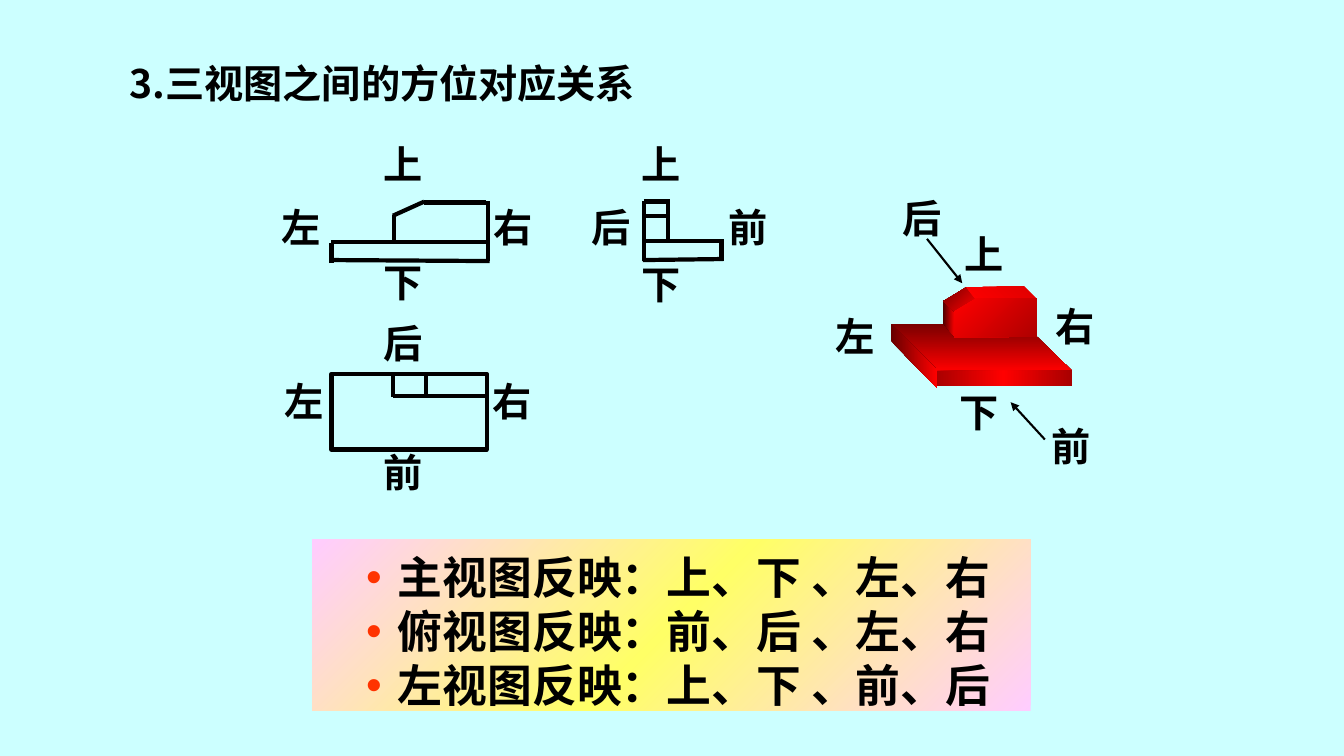
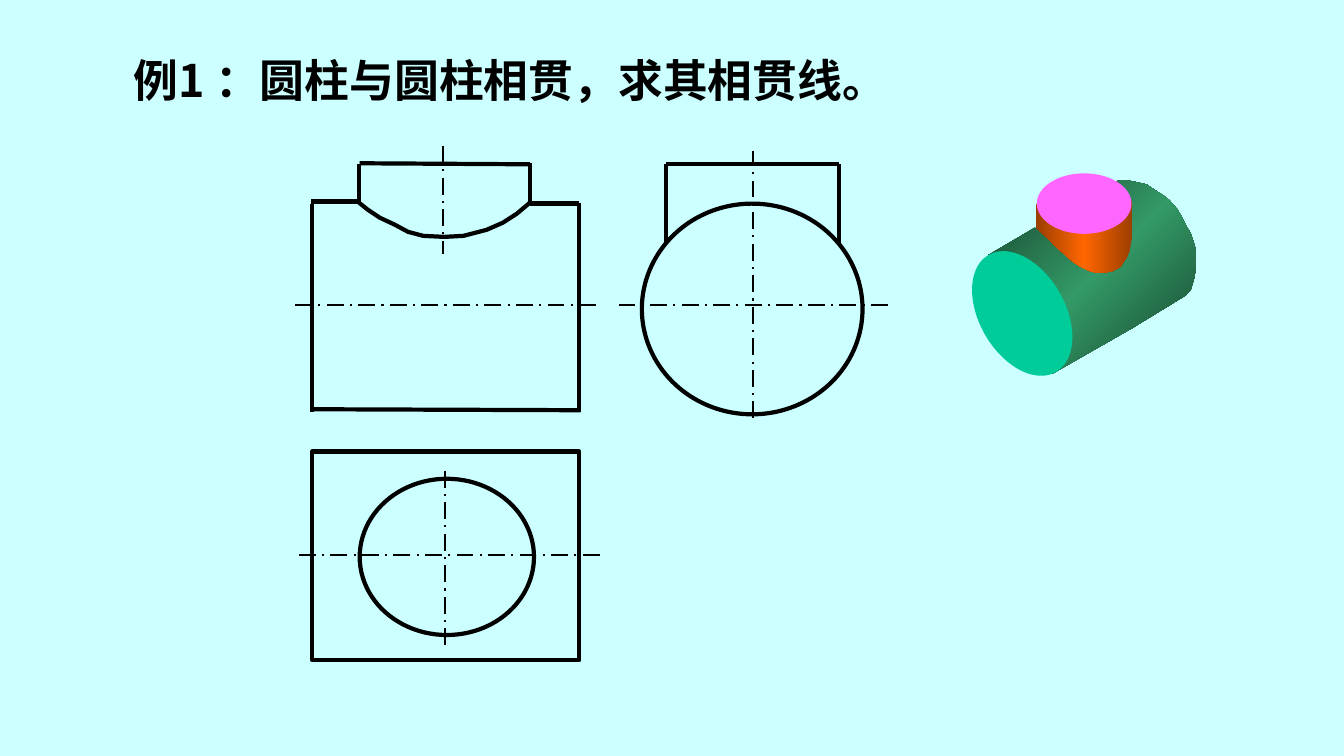
from lxml import etree
from pptx import Presentation
from pptx.dml.color import RGBColor
from pptx.enum.dml import MSO_LINE
from pptx.enum.shapes import MSO_CONNECTOR, MSO_SHAPE
from pptx.enum.text import MSO_ANCHOR, PP_ALIGN
from pptx.oxml.ns import qn
from pptx.util import Cm, Pt

# Shared style; drawing coordinates count in units of a hundredth of an inch
UNIT = Cm(2.54) // 100
BLACK = "000000"
BACKGROUND = "CCFFFF"
CJK_FONT = "Noto Sans CJK SC"
LABEL_FONT = "Times New Roman"
THICK, THIN = Pt(3), Pt(1.5)
rgb = RGBColor.from_string


def paint(shape, fill=None, outlined=False):
    """Fill with a hex colour or (angle, colours); optionally outline."""
    shape.shadow.inherit = False
    if fill is None:
        shape.fill.background()
    elif isinstance(fill, str):
        shape.fill.solid()
        shape.fill.fore_color.rgb = rgb(fill)
    else:
        angle, colours = fill
        shape.fill.gradient()
        gradient = shape.element.spPr.find(qn("a:gradFill"))
        stops = gradient.find(qn("a:gsLst"))
        for stop in list(stops):
            stops.remove(stop)
        for index, colour in enumerate(colours):
            position = 100000 * index // (len(colours) - 1)
            stop = etree.SubElement(stops, qn("a:gs"), pos=str(position))
            etree.SubElement(stop, qn("a:srgbClr"), val=colour)
        gradient.find(qn("a:lin")).set("ang", str(angle * 60000))
    if outlined:
        shape.line.color.rgb = rgb(BLACK)
        shape.line.width = THICK
    else:
        shape.line.fill.background()


def write(shape, text, size, font=CJK_FONT, align=PP_ALIGN.LEFT):
    """Set bold black text, vertically centred in the shape."""
    frame = shape.text_frame
    frame.word_wrap = True
    frame.vertical_anchor = MSO_ANCHOR.MIDDLE
    frame.text = text
    for para in frame.paragraphs:
        para.alignment = align
        for span in para.runs:
            span.font.name = font
            span.font.size = Pt(size)
            span.font.bold = True
            span.font.color.rgb = rgb(BLACK)
            etree.SubElement(span.font._element, qn("a:ea"), typeface=CJK_FONT)


deck = Presentation()
deck.slide_width, deck.slide_height = Cm(33.88), Cm(19.05)
master_fill = deck.slide_master.background.fill
master_fill.solid()
master_fill.fore_color.rgb = rgb(BACKGROUND)
views, example = [deck.slides.add_slide(deck.slide_layouts[6]) for _ in range(2)]

# Titles
titles = [
    (views, "3.三视图之间的方位对应关系", 28, 3.02, 1.27),
    (example, "例1 ：圆柱与圆柱相贯，求其相贯线。", 32, 3.12, 1.19),
]
for slide, text, size, left, top in titles:
    box = slide.shapes.add_textbox(Cm(left), Cm(top), Cm(21), Cm(1.63))
    write(box, text, size)

# Summary panel with bullets
panel = views.shapes.add_shape(MSO_SHAPE.RECTANGLE, Cm(7.87), Cm(13.59), Cm(18.11), Cm(4.32))
paint(panel, (45, ["FFCCFF", "FFFF66", "FFCCFF"]))
write(panel, "主视图反映：上、下 、左、右\n俯视图反映：前、后 、左、右\n左视图反映：上、下 、前、后",
      32, align=PP_ALIGN.CENTER)
panel.text_frame.margin_top = Cm(0.4)
for para in panel.text_frame.paragraphs:
    para.line_spacing = Pt(38.5)
    properties = para._p.get_or_add_pPr()
    properties.set("marL", str(Cm(1.16)))
    properties.set("indent", str(-Cm(0.8)))
    colour = etree.SubElement(properties, qn("a:buClr"))
    etree.SubElement(colour, qn("a:srgbClr"), val="FF3300")
    etree.SubElement(properties, qn("a:buFont"), typeface="Arial")
    etree.SubElement(properties, qn("a:buChar"), char="•")

# Direction labels: text, left, top
labels = [
    # front view
    ("上", 370, 134), ("下", 370, 251), ("左", 269, 197), ("右", 480, 197),
    # top view
    ("后", 370, 312), ("前", 370, 440), ("左", 272, 369), ("右", 479, 369),
    # left view
    ("上", 627, 134), ("下", 627, 253), ("后", 577, 197), ("前", 713, 197),
    # solid
    ("上", 947, 223), ("下", 942, 380), ("左", 819, 305), ("右", 1037, 295),
    ("后", 886, 188), ("前", 1033, 414),
]
for text, left, top in labels:
    box = views.shapes.add_textbox(left * UNIT, top * UNIT, 59 * UNIT, 57 * UNIT)
    box.text_frame.margin_left = box.text_frame.margin_right = 0
    write(box, text, 28, LABEL_FONT, PP_ALIGN.CENTER)

# Closed outlines of the views: slide, preset, left, top, width, height
outlines = [
    (views, MSO_SHAPE.RECTANGLE, 329, 371, 154, 75),
    (example, MSO_SHAPE.RECTANGLE, 310, 448, 265, 207),
    (example, MSO_SHAPE.OVAL, 357, 475, 173, 155),
    (example, MSO_SHAPE.OVAL, 637, 202, 219, 209),
]
for slide, preset, *bounds in outlines:
    paint(slide.shapes.add_shape(preset, *[n * UNIT for n in bounds]), outlined=True)

# Straight lines: x1, y1, x2, y2
view_edges = [
    # front view
    (486, 259, 329, 258), (329, 261, 329, 241), (484, 259, 484, 199), (482, 201, 421, 201),
    (391, 240, 391, 213), (390, 214, 421, 200), (329, 240, 485, 240),
    # top view
    (390, 393, 485, 393), (390, 394, 390, 372), (423, 371, 423, 394),
    # left view
    (639, 259, 639, 199), (716, 259, 716, 238), (639, 239, 719, 239), (638, 258, 718, 257),
    (639, 200, 665, 200), (639, 214, 665, 214), (663, 199, 663, 238),
]
arrows = [(920, 237, 955, 281), (1037, 436, 1003, 399)]
example_edges = [
    # front view
    (310, 202, 310, 409), (309, 406, 576, 407), (575, 409, 575, 201), (526, 202, 575, 202),
    (356, 163, 356, 202), (357, 162, 526, 163), (526, 162, 526, 201), (355, 200, 309, 200),
    # left view
    (661, 163, 833, 163), (661, 163, 661, 241), (833, 163, 833, 241),
]
axes = [
    (293, 303, 592, 303), (614, 303, 884, 303), (747, 415, 747, 150),
    (595, 551, 296, 551), (442, 467, 442, 642), (440, 145, 440, 252),
]
line_sets = [
    (views, view_edges, THICK, None, False),
    (views, arrows, THIN, None, True),
    (example, example_edges, THICK, None, False),
    (example, axes, THIN, MSO_LINE.LONG_DASH_DOT, False),
]
for slide, segments, width, dash, arrowhead in line_sets:
    for segment in segments:
        line = slide.shapes.add_connector(MSO_CONNECTOR.STRAIGHT, *[n * UNIT for n in segment])
        line.line.color.rgb = rgb(BLACK)
        line.line.width = width
        if dash:
            line.line.dash_style = dash
        if arrowhead:
            etree.SubElement(line.line._get_or_add_ln(), qn("a:tailEnd"), type="triangle")
        etree.SubElement(line.element.spPr, qn("a:effectLst"))

# Intersection curve of the two cylinders
curve = [(355, 200), (365, 208), (377, 216), (392, 223), (405, 230), (420, 234), (441, 235),
         (460, 234), (483, 228), (499, 221), (513, 212), (526, 201)]
builder = example.shapes.build_freeform(*curve[0], scale=UNIT)
builder.add_line_segments(curve[1:], close=False)
paint(builder.convert_to_shape(), outlined=True)

# Solids, back to front: a list of corners, or an oval with its rotation
red_block = [
    ([(936, 321), (947, 334), (1028, 333), (1064, 368), (929, 368), (884, 321)],
     (90, ["780000", "FF0000"])),
    ([(929, 368), (1064, 367), (1064, 383), (928, 383)], (0, ["A80000", "FF0000", "A80000"])),
    ([(884, 321), (884, 338), (930, 385), (930, 367)], (0, ["660000", "FF0000"])),
    ([(936, 298), (936, 321), (948, 335), (948, 310)], (0, ["4E0000", "FF0000"])),
    ([(936, 299), (959, 285), (970, 297), (947, 309)], (45, ["760000", "FF0000"])),
    ([(959, 285), (1016, 284), (1029, 297), (970, 299)], (315, ["FF0000", "DE0000"])),
    ([(947, 309), (947, 335), (1029, 334), (1029, 296), (969, 296)], (45, ["FF0000", "AE0000"])),
]
green_side = [
    (981, 253), (1027, 226), (1039, 232), (1048, 236), (1053, 242), (1060, 253), (1077, 262),
    (1095, 265), (1112, 264), (1116, 255), (1120, 241), (1121, 228), (1123, 214), (1119, 198),
    (1114, 189), (1105, 181), (1111, 179), (1120, 179), (1129, 181), (1138, 183), (1147, 189),
    (1155, 194), (1161, 199), (1168, 207), (1173, 215), (1178, 225), (1182, 232), (1186, 244),
    (1187, 255), (1187, 266), (1185, 277), (1182, 287), (1177, 293), (1123, 326), (1044, 371),
    (1052, 359), (1060, 347), (1061, 328), (1056, 311), (1049, 294), (1043, 284), (1034, 274),
    (1022, 264), (1004, 255), (992, 252),
]
orange_side = [
    (1028, 201), (1028, 226), (1039, 236), (1048, 245), (1056, 252), (1065, 260), (1073, 265),
    (1082, 269), (1090, 271), (1099, 270), (1104, 269), (1112, 265), (1118, 256), (1121, 249),
    (1123, 238), (1124, 232), (1124, 198), (1118, 210), (1114, 217), (1107, 222), (1098, 225),
    (1091, 226), (1080, 229), (1073, 229), (1059, 228), (1053, 224), (1044, 221), (1037, 215),
    (1033, 211),
]
cylinders = [
    (green_side, (45, ["16422C", "339966", "16422C"])),
    ((972, 244, 85, 134, 330), "00CC99"),
    (orange_side, (0, ["9B3E00", "FF6600", "9B3E00"])),
    ((1029, 172, 94, 60, 0), "FF66FF"),
]
for slide, faces in [(views, red_block), (example, cylinders)]:
    group = slide.shapes.add_group_shape()
    for geometry, fill in faces:
        if isinstance(geometry, tuple):
            *bounds, rotation = geometry
            face = group.shapes.add_shape(MSO_SHAPE.OVAL, *[n * UNIT for n in bounds])
            face.rotation = rotation
        else:
            builder = group.shapes.build_freeform(*geometry[0], scale=UNIT)
            builder.add_line_segments(geometry[1:], close=True)
            face = builder.convert_to_shape()
        paint(face, fill)

deck.save("out.pptx")
